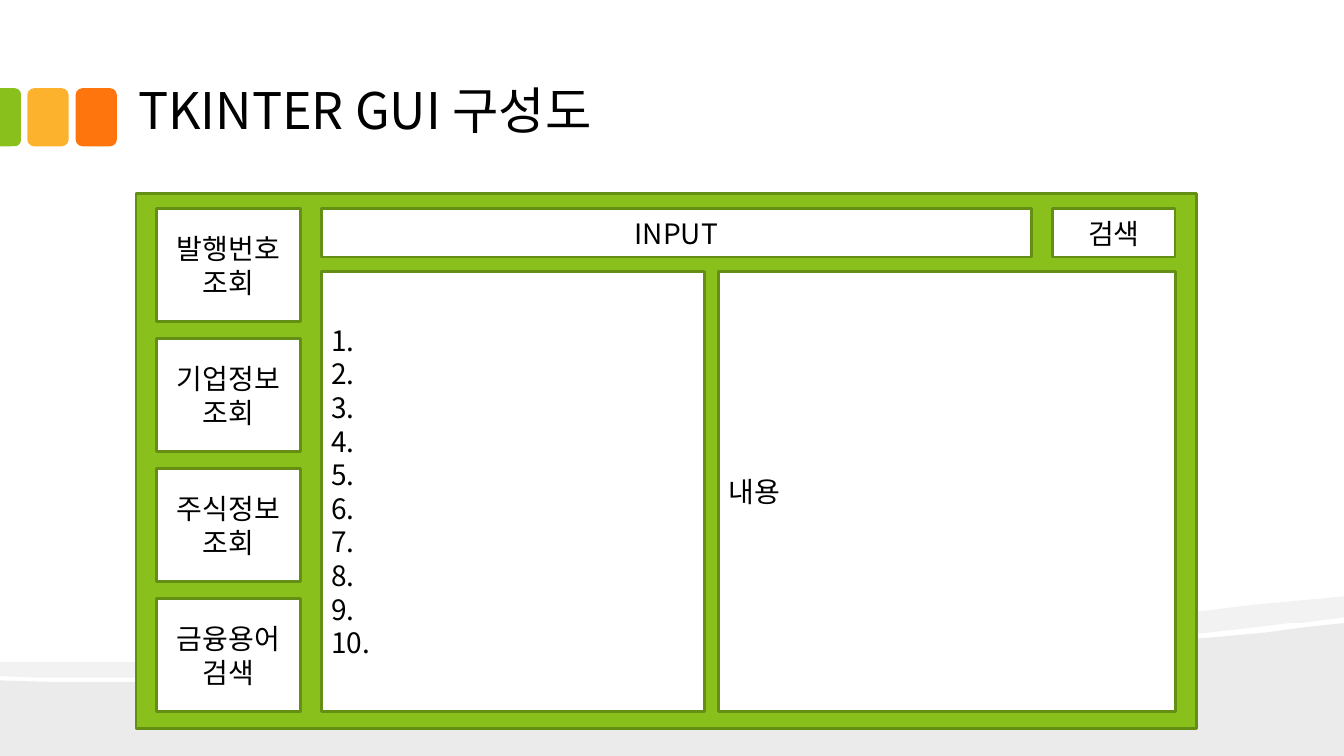
from lxml.etree import SubElement
from pptx import Presentation
from pptx.dml.color import RGBColor
from pptx.enum.shapes import MSO_SHAPE as SHAPE
from pptx.enum.text import MSO_ANCHOR as ANCHOR, MSO_AUTO_SIZE as AUTO, PP_ALIGN as ALIGN
from pptx.oxml.ns import qn
from pptx.util import Pt

WHITE = RGBColor(0xFF, 0xFF, 0xFF)
BLACK = RGBColor(0x00, 0x00, 0x00)
GREEN = RGBColor(0x89, 0xC0, 0x1C)
DARK_GREEN = RGBColor(0x65, 0x8E, 0x15)
AMBER = RGBColor(0xFC, 0xB2, 0x2C)
ORANGE = RGBColor(0xFE, 0x75, 0x0E)
FONT = "Noto Sans CJK KR"


def write(tf, text, size=20, color=BLACK, align=ALIGN.LEFT, anchor=ANCHOR.MIDDLE):
    tf.word_wrap = True
    tf.auto_size = AUTO.NONE
    tf.vertical_anchor = anchor
    for i, line in enumerate(text.split("\n")):
        p = tf.add_paragraph() if i else tf.paragraphs[0]
        p.alignment = align
        r = p.add_run()
        r.text = line
        r.font.size = Pt(size)
        r.font.name = FONT
        r.font.color.rgb = color
        SubElement(r.font._element, qn("a:ea"), typeface=FONT)


def curve(p0, p1, p2, p3, steps=24):
    points = []
    for i in range(1, steps + 1):
        t = i / steps
        weights = ((1 - t) ** 3, 3 * t * (1 - t) ** 2, 3 * t * t * (1 - t), t ** 3)
        points.append(tuple(sum(w * c for w, c in zip(weights, axis))
                            for axis in zip(p0, p1, p2, p3)))
    return points


class Deck:
    def __init__(self, prs):
        self.slide = prs.slides.add_slide(prs.slide_layouts[5])
        self.shapes = self.slide.shapes

    def paint(self, sp, fill, line=None):
        sp.shadow.inherit = False
        sp.fill.solid()
        sp.fill.fore_color.rgb = fill
        if line is None:
            sp.line.fill.background()
        else:
            sp.line.color.rgb = line
            sp.line.width = Pt(2)

    def title(self, text, x, y, w, h):
        sp = self.shapes.title
        sp.left, sp.top, sp.width, sp.height = Pt(x), Pt(y), Pt(w), Pt(h)
        tf = sp.text_frame
        tf.margin_left = tf.margin_right = Pt(9.4)
        tf.margin_top = tf.margin_bottom = Pt(5)
        write(tf, text, size=36, anchor=ANCHOR.BOTTOM)

    def shape(self, kind, x, y, w, h, fill, line=None):
        sp = self.shapes.add_shape(kind, Pt(x), Pt(y), Pt(w), Pt(h))
        self.paint(sp, fill, line)
        return sp

    def panel(self, text, x, y, w, h, align=ALIGN.CENTER):
        sp = self.shape(SHAPE.RECTANGLE, x, y, w, h, WHITE, DARK_GREEN)
        write(sp.text_frame, text, align=align)

    def wave(self, points, opacity):
        fb = self.shapes.build_freeform(*points[0], scale=Pt(1))
        fb.add_line_segments(points[1:], close=True)
        sp = fb.convert_to_shape()
        self.paint(sp, BLACK)
        color = sp.fill._xPr.find(qn("a:solidFill"))[0]
        SubElement(color, qn("a:alpha"), val=str(opacity * 1000))


def main():
    prs = Presentation()
    prs.slide_width, prs.slide_height = Pt(960), Pt(540)
    deck = Deck(prs)

    deck.wave([(960, 445), (960, 540), (0, 540), (0, 486)]
              + curve((0, 486), (253.4, 491.8), (750.2, 471.6), (960, 445)), 8)
    deck.wave([(960, 426.2), (960, 440.6)]
              + curve((960, 440.6), (903.6, 448.6), (827.3, 455.8), (740.9, 461.5))
              + curve((740.9, 461.5), (502.6, 477.4), (185.8, 487.4), (0, 483.1))
              + [(0, 473)]
              + curve((0, 473), (469.4, 476.6), (699.1, 451.4), (960, 426.2)), 5)

    for x, color in ((54, ORANGE), (19.5, AMBER)):
        deck.shape(SHAPE.ROUNDED_RECTANGLE, x, 63, 29.5, 41.5, color)
    tab = deck.shape(SHAPE.ROUND_2_SAME_RECTANGLE, -13.25, 76.25, 41.5, 15, GREEN)
    tab.rotation = 90
    tab.adjustments[0] = 0.292

    deck.title("TKINTER GUI 구성도", 89.3, 0, 828, 104.4)

    deck.shape(SHAPE.RECTANGLE, 97.2, 138.2, 757.4, 382.3, GREEN, DARK_GREEN)
    menus = ("발행번호\n조회", "기업정보\n조회", "주식정보조회", "금융용어\n검색")
    for i, menu in enumerate(menus):
        deck.panel(menu, 111.6, 149 + i * 92.9, 103, 80.6)
    deck.panel("INPUT", 229.7, 149, 506.9, 34.6)
    deck.panel("검색", 752, 149, 87.3, 34.6)
    numbers = "\n".join(f"{n}." for n in range(1, 11))
    deck.panel(numbers, 229.7, 193.7, 273.6, 314.6, ALIGN.LEFT)
    deck.panel("내용", 513.4, 193.7, 326, 314.6, ALIGN.LEFT)

    prs.save("out.pptx")


if __name__ == "__main__":
    main()
